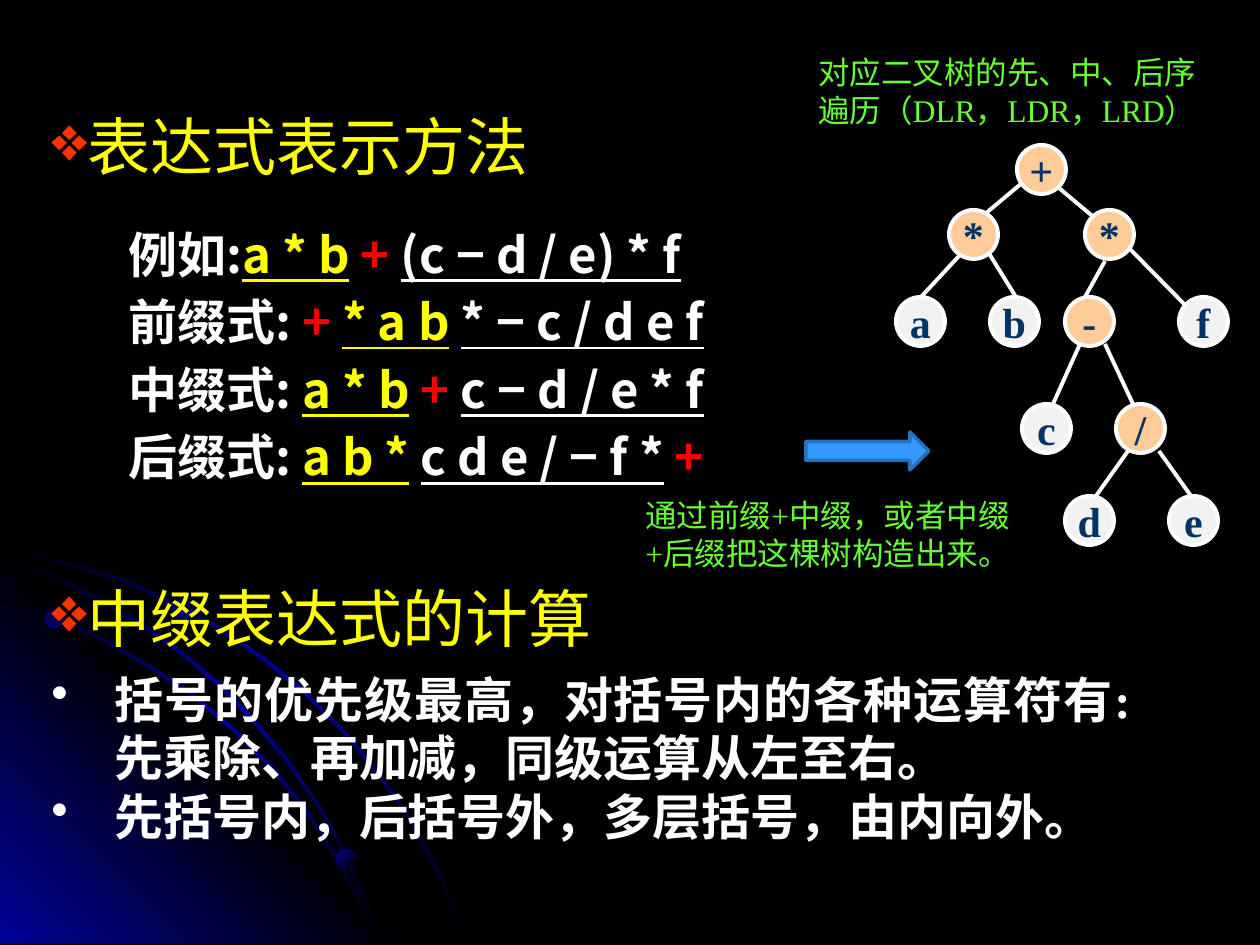
from copy import deepcopy
from dataclasses import dataclass
from itertools import pairwise
from lxml.etree import SubElement
from pptx import Presentation
from pptx.dml.color import RGBColor
from pptx.enum.shapes import MSO_CONNECTOR as Connector, MSO_SHAPE as Preset
from pptx.enum.text import MSO_ANCHOR as Anchor, MSO_AUTO_SIZE as AutoSize, PP_ALIGN as Align
from pptx.oxml.ns import qn
from pptx.util import Emu, Pt

SCALE = 914400 / 126
WIDTH, HEIGHT = 1260, 945


@dataclass(frozen=True)
class Theme:
    black: str = "000000"
    blue: str = "010199"
    white: str = "FFFFFF"
    yellow: str = "FFFF00"
    red: str = "FF0000"
    bullet: str = "FF3300"
    green: str = "66FF33"
    operator: str = "FFCC99"
    operand: str = "F2F2F2"
    symbol: str = "003366"
    arrow: str = "3399FF"
    arrow_edge: str = "2671BD"
    sans: str = "Noto Sans CJK SC"
    serif: str = "Times New Roman"
    heading: int = 36
    body: int = 28
    node: int = 24
    note: int = 18
    leading: float = 1.2
    row_leading: float = 1.38


THEME = Theme()


@dataclass(frozen=True)
class Style:
    size: int
    color: str
    font: str = THEME.serif
    bold: bool = False


@dataclass(frozen=True)
class Node:
    symbol: str
    x: int
    y: int


@dataclass(frozen=True)
class Edge:
    x1: int
    y1: int
    x2: int
    y2: int


HEADING = Style(THEME.heading, THEME.yellow, THEME.sans)
EXPRESSION = Style(THEME.body, THEME.white, THEME.sans, True)
BODY = Style(THEME.body, THEME.white, bold=True)
NOTE = Style(THEME.note, THEME.green)
SYMBOL = Style(THEME.node, THEME.symbol, bold=True)

SPAN_ROLES = {
    "label": (THEME.white, False),
    "left": (THEME.yellow, True),
    "right": (THEME.white, True),
    "root": (THEME.red, False),
}
EXPRESSIONS = [
    [("例如:", "label"), ("a * b", "left"), (" ", "label"), ("+ ", "root"), ("(c − d / e) * f", "right")],
    [("前缀式: ", "label"), ("+ ", "root"), ("* a b", "left"), (" ", "label"), ("* − c / d e f", "right")],
    [("中缀式: ", "label"), ("a * b", "left"), (" ", "label"), ("+ ", "root"), ("c − d / e * f", "right")],
    [("后缀式: ", "label"), ("a b *", "left"), (" ", "label"), ("c d e / − f *", "right"), (" ", "label"), ("+", "root")],
]
RULES = ["括号的优先级最高，对括号内的各种运算符有:先乘除、再加减，同级运算从左至右。",
         "先括号内，后括号外，多层括号，由内向外。"]

NODE_SIZE = 49
NODES = [Node("+", 1017, 145), Node("*", 949, 210), Node("*", 1085, 210),
         Node("a", 896, 297), Node("b", 990, 297), Node("-", 1065, 297), Node("f", 1179, 297),
         Node("c", 1022, 404), Node("/", 1116, 404), Node("d", 1065, 496), Node("e", 1169, 496)]
EDGES = [Edge(1022, 183, 985, 214), Edge(1053, 183, 1096, 219), Edge(959, 256, 921, 297),
         Edge(985, 247, 1016, 297), Edge(1105, 261, 1085, 297), Edge(1128, 247, 1191, 311),
         Edge(1080, 344, 1053, 404), Edge(1105, 344, 1133, 404), Edge(1128, 451, 1096, 496),
         Edge(1159, 451, 1191, 496)]

OUTER_ARC = [(0, 548), (72, 563), (123, 578), (171, 601), (219, 626), (263, 656), (305, 690), (343, 728),
             (378, 770), (410, 816), (427, 848), (444, 879), (456, 911), (469, 944)]
INNER_ARC = [(0, 599), (52, 615), (100, 636), (147, 663), (192, 692), (232, 726), (271, 764), (305, 806),
             (335, 852), (360, 897), (373, 920), (382, 944)]
MIDDLE_ARC = [(0, 557), (49, 573), (96, 596), (140, 621), (181, 650), (221, 684), (257, 722), (289, 760),
              (320, 805), (339, 838), (355, 873), (370, 907), (382, 944)]
CORNER = [(406, 944), (0, 944), (0, 538)]
ORBS = [(45, 609, 19, 315), (336, 849, 20, 45), (173, 596, 26, 315)]


def px(length: int) -> Emu:
    return Emu(round(length * SCALE))


def rgb(color: str) -> RGBColor:
    return RGBColor.from_string(color)


def paint_gradient(shape, colors: list[str], angle: int) -> None:
    shape.shadow.inherit = False
    shape.line.fill.background()
    shape.fill.gradient()
    shape.fill.gradient_angle = 360 - angle
    stop_list = shape._element.spPr.find(".//" + qn("a:gsLst"))
    for _ in colors[2:]:
        stop_list.append(deepcopy(stop_list[0]))
    for index, (stop, color) in enumerate(zip(shape.fill.gradient_stops, colors)):
        stop.position = index / (len(colors) - 1)
        stop.color.rgb = rgb(color)


def draw_outline(page, points: list[tuple[int, int]], colors: list[str], angle: int) -> None:
    builder = page.shapes.build_freeform(*points[0], scale=SCALE)
    builder.add_line_segments(points[1:], close=True)
    paint_gradient(builder.convert_to_shape(), colors, angle)


def draw_arc(page, edge: list[tuple[int, int]]) -> None:
    lower = [(max(x - 2, 0), min(y + 3, HEIGHT - 1)) for x, y in reversed(edge)]
    draw_outline(page, edge + lower, [THEME.black, THEME.blue, THEME.black], 45)


def format_span(span, style: Style) -> None:
    font = span.font
    font.size, font.bold, font.name = Pt(style.size), style.bold, style.font
    font.color.rgb = rgb(style.color)
    SubElement(span._r.get_or_add_rPr(), qn("a:ea")).set("typeface", THEME.sans)


def format_para(para, style: Style, leading: float = THEME.leading) -> None:
    para.line_spacing = Pt(style.size * leading)
    for span in para.runs:
        format_span(span, style)


def add_bullet(para, mark: str, color: str, indent: int = 0) -> None:
    props = para._p.get_or_add_pPr()
    props.set("marL", str(px(indent)))
    props.set("indent", str(-px(indent)))
    SubElement(SubElement(props, qn("a:buClr")), qn("a:srgbClr")).set("val", color)
    SubElement(props, qn("a:buChar")).set("char", mark)


def place(box, x: int, y: int, width: int, height: int) -> None:
    box.left, box.top, box.width, box.height = map(px, (x, y, width, height))


def add_box(page, x: int, y: int, width: int, height: int):
    box = page.shapes.add_textbox(*map(px, (x, y, width, height)))
    box.text_frame.word_wrap = True
    return box


def write_heading(box, text: str) -> None:
    frame = box.text_frame
    frame.text = text
    frame.word_wrap, frame.auto_size = False, AutoSize.NONE
    frame.vertical_anchor = Anchor.TOP
    para = frame.paragraphs[0]
    para.alignment = Align.LEFT
    format_para(para, HEADING)
    add_bullet(para, "❖", THEME.bullet)


def write_lines(box, lines: list[str], style: Style) -> None:
    box.text_frame.text = "\n".join(lines)
    for para in box.text_frame.paragraphs:
        format_para(para, style)


def write_expressions(box) -> None:
    frame = box.text_frame
    for index, row in enumerate(EXPRESSIONS):
        para = frame.add_paragraph() if index else frame.paragraphs[0]
        for text, role in row:
            span = para.add_run()
            span.text = text
        format_para(para, EXPRESSION, THEME.row_leading if index else THEME.leading)
        for span, (_, role) in zip(para.runs, row):
            color, span.font.underline = SPAN_ROLES[role]
            span.font.color.rgb = rgb(color)


def add_solid(page, preset, area: tuple[int, int, int, int], fill: str, line: str, weight: float):
    shape = page.shapes.add_shape(preset, *map(px, area))
    shape.shadow.inherit = False
    shape.fill.solid()
    shape.fill.fore_color.rgb = rgb(fill)
    shape.line.color.rgb, shape.line.width = rgb(line), Pt(weight)
    return shape


def draw_edge(page, edge: Edge) -> None:
    line = page.shapes.add_connector(Connector.STRAIGHT, *map(px, (edge.x1, edge.y1, edge.x2, edge.y2)))
    line.line.color.rgb, line.line.width = rgb(THEME.white), Pt(2.25)
    SubElement(line._element.spPr, qn("a:effectLst"))


def draw_node(page, node: Node) -> None:
    fill = THEME.operand if node.symbol.isalpha() else THEME.operator
    shape = add_solid(page, Preset.OVAL, (node.x, node.y, NODE_SIZE, NODE_SIZE), fill, THEME.white, 2.25)
    frame = shape.text_frame
    frame.text = node.symbol
    frame.word_wrap, frame.vertical_anchor = False, Anchor.MIDDLE
    frame.paragraphs[0].alignment = Align.CENTER
    format_span(frame.paragraphs[0].runs[0], SYMBOL)


def main() -> None:
    deck = Presentation()
    deck.slide_width, deck.slide_height = px(WIDTH), px(HEIGHT)
    page = deck.slides.add_slide(deck.slide_layouts[5])
    page.background.fill.solid()
    page.background.fill.fore_color.rgb = rgb(THEME.black)
    draw_arc(page, OUTER_ARC)
    draw_outline(page, CORNER, [THEME.blue, THEME.black, THEME.blue], 315)
    for arc in (INNER_ARC, MIDDLE_ARC):
        draw_arc(page, arc)
    for x, y, size, angle in ORBS:
        orb = page.shapes.add_shape(Preset.OVAL, *map(px, (x, y, size, size)))
        paint_gradient(orb, [THEME.blue, THEME.black], angle)

    title = page.shapes.title
    place(title, 39, 101, 523, 89)
    write_heading(title, "表达式表示方法")
    write_expressions(add_box(page, 116, 218, 771, 277))
    for edge in EDGES:
        draw_edge(page, edge)
    for node in NODES:
        draw_node(page, node)
    write_heading(add_box(page, 39, 573, 586, 89), "中缀表达式的计算")
    rules = add_box(page, 39, 663, 1104, 190)
    write_lines(rules, RULES, BODY)
    for para in rules.text_frame.paragraphs:
        add_bullet(para, "•", THEME.white, 63)
    rules.text_frame.paragraphs[0].alignment = Align.JUSTIFY
    write_lines(add_box(page, 806, 47, 415, 89), ["对应二叉树的先、中、后序", "遍历（DLR，LDR，LRD）"], NOTE)
    add_solid(page, Preset.RIGHT_ARROW, (806, 432, 123, 38), THEME.arrow, THEME.arrow_edge, 2)
    write_lines(add_box(page, 633, 490, 415, 89), ["通过前缀+中缀，或者中缀+后缀把这棵树构造出来。"], NOTE)
    deck.save("out.pptx")


if __name__ == "__main__":
    main()
